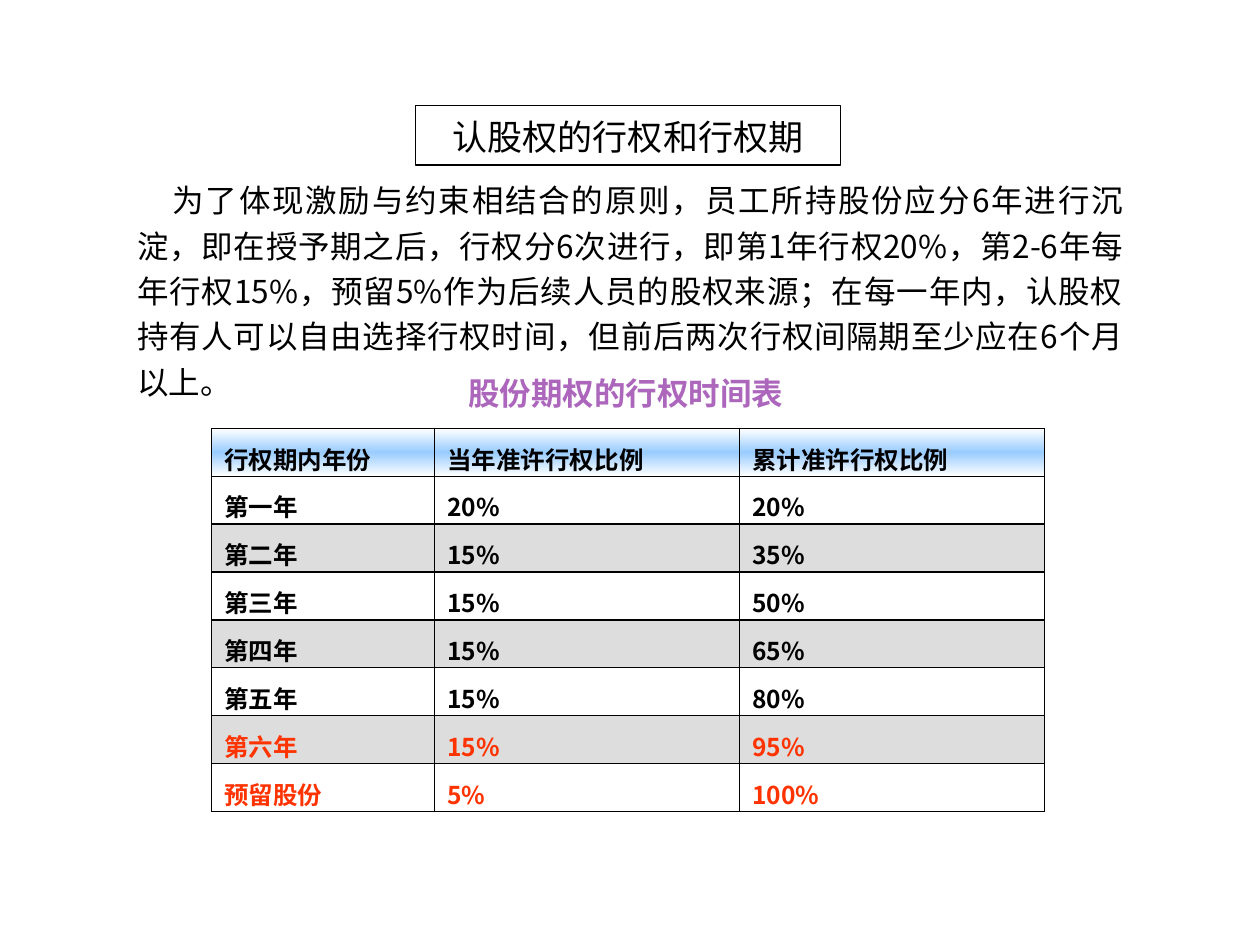
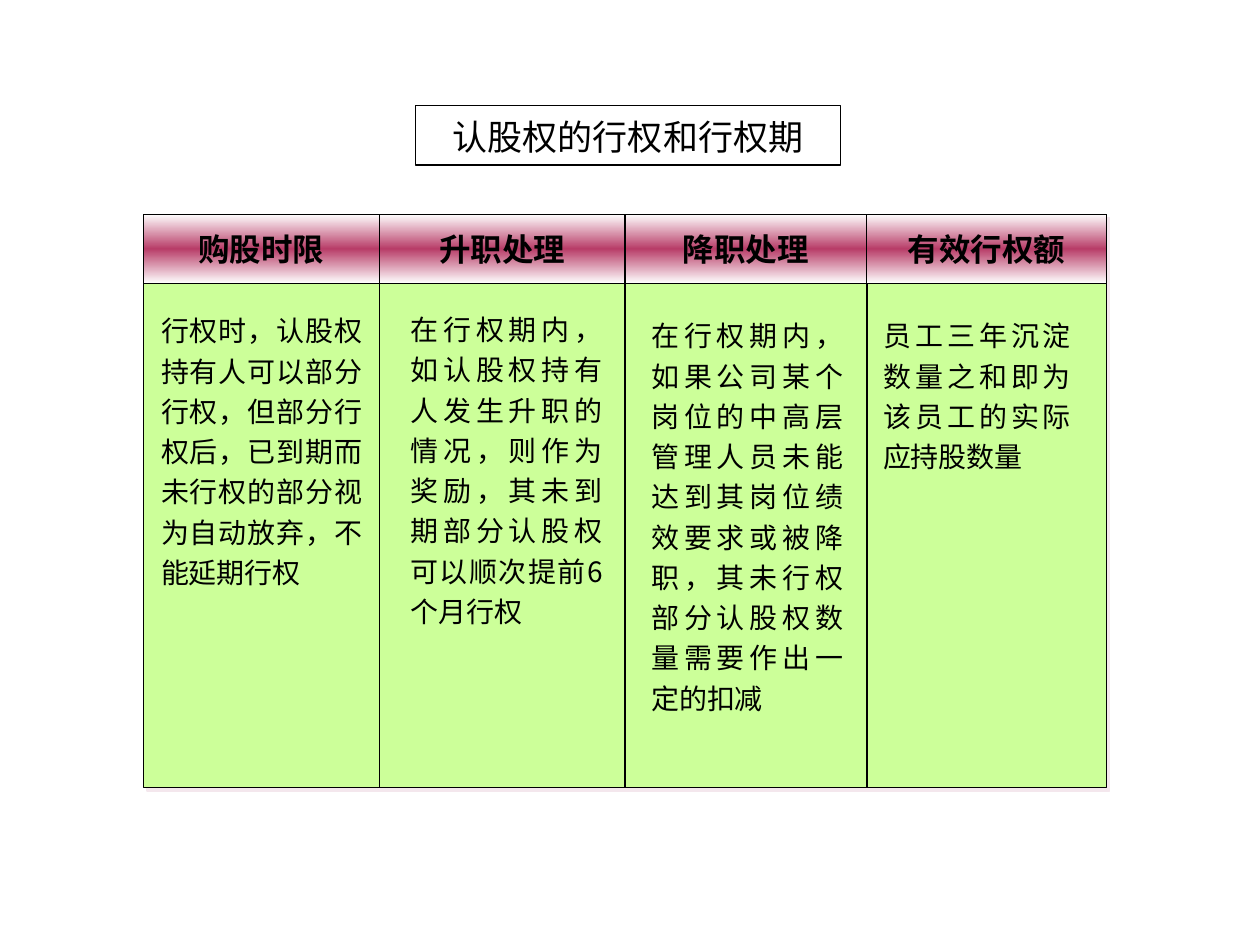
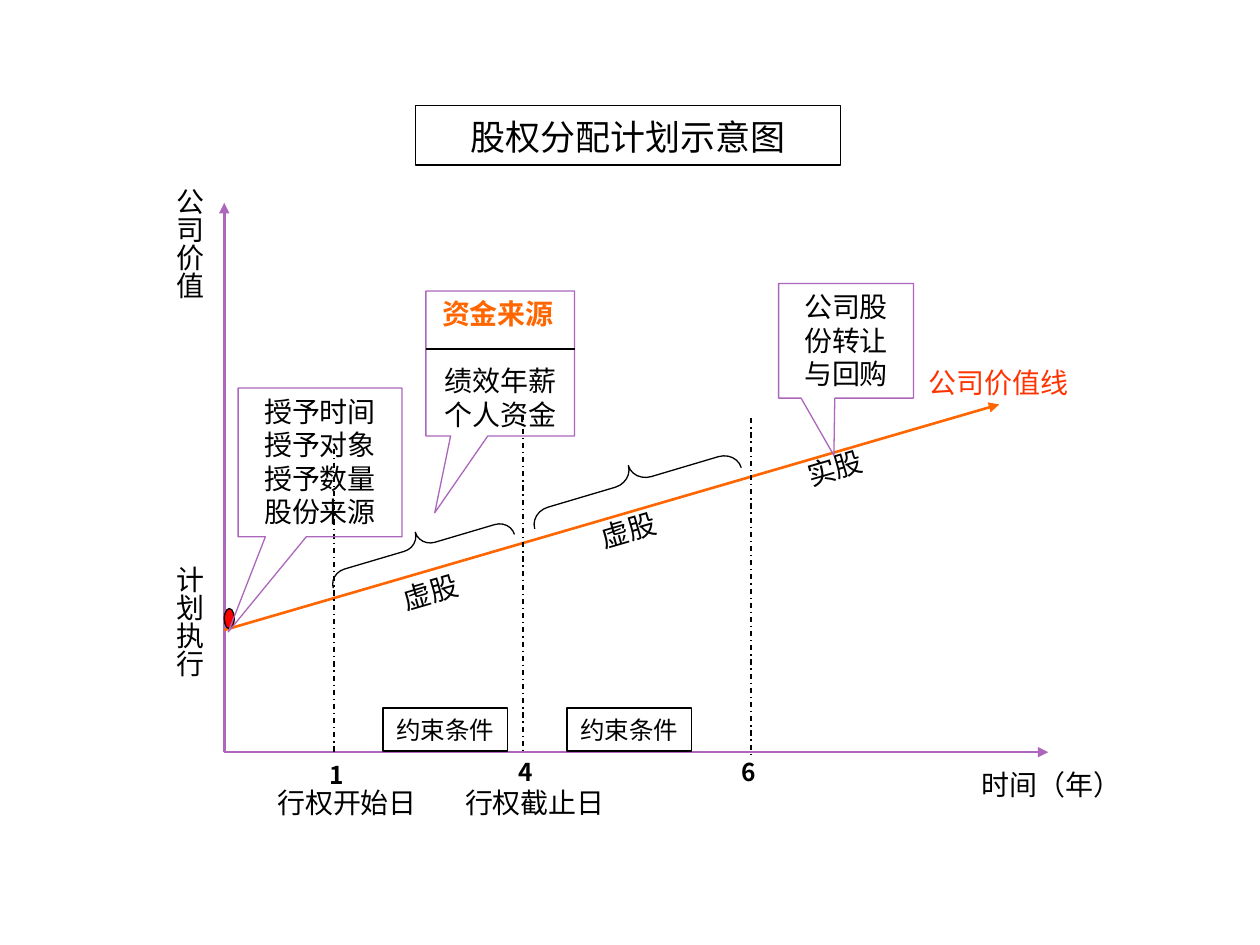
import copy

import lxml.etree
import pptx
import pptx.dml.color
import pptx.enum.dml
import pptx.enum.shapes
import pptx.enum.text
import pptx.oxml.ns
import pptx.util

PX = 9144
LINE_HEIGHT = 1.2
CJK = "Noto Sans CJK SC"
COLOURS = {
    "black": "000000", "white": "FFFFFF", "sky": "99CCFF", "grey": "DDDDDD",
    "red": "FF0000", "warm_red": "FF3300", "orange": "FF6600",
    "purple": "AC66BB", "lime": "CCFF99", "rose": "B83D68", "shadow": "F4E7ED",
}
ALIGN = pptx.enum.text.PP_ALIGN
ANCHOR = pptx.enum.text.MSO_ANCHOR
SHAPE = pptx.enum.shapes.MSO_SHAPE
DASH = pptx.enum.dml.MSO_LINE
qn = pptx.oxml.ns.qn


def px(*lengths):
    return [pptx.util.Emu(length * PX) for length in lengths]


def rgb(colour):
    return pptx.dml.color.RGBColor.from_string(COLOURS[colour])


def write_text(frame, text, size=16, colour="black", font=CJK, bold=False,
               align=ALIGN.CENTER, spacing=1.0, indent=0, hanging=True,
               anchor=None, wrap=True, vertical=False, bottom=None):
    frame.word_wrap = wrap
    if anchor is not None:
        frame.vertical_anchor = anchor
    if bottom is not None:
        frame.margin_bottom = px(bottom)[0]
    if vertical:
        frame._txBody.bodyPr.set("vert", "eaVert")
    for index, line in enumerate(text.split("\n")):
        paragraph = frame.add_paragraph() if index else frame.paragraphs[0]
        paragraph.alignment = align
        paragraph.line_spacing = pptx.util.Pt(round(size * LINE_HEIGHT * spacing, 1))
        properties = paragraph._p.get_or_add_pPr()
        if indent:
            properties.set("indent", str(indent * PX))
        if not hanging:
            properties.set("hangingPunct", "0")
        run = paragraph.add_run()
        run.text = line
        run.font.size = pptx.util.Pt(size)
        run.font.bold = bold
        run.font.name = font
        run.font.color.rgb = rgb(colour)
        east_asian = lxml.etree.SubElement(run._r.get_or_add_rPr(), qn("a:ea"))
        east_asian.set("typeface", CJK)


def paint(fill, element, colour=None, glow=None):
    if glow:
        fill.gradient()
        fill.gradient_angle = 90
        edge, middle = fill.gradient_stops
        edge.color.rgb = rgb("white")
        middle.color.rgb = rgb(glow)
        middle.position = 0.5
        stops = element.find(".//" + qn("a:gsLst"))
        stops.append(copy.deepcopy(stops[0]))
        fill.gradient_stops[2].position = 1
    elif colour:
        fill.solid()
        fill.fore_color.rgb = rgb(colour)
    else:
        fill.background()


def add_borders(cell):
    properties = cell._tc.get_or_add_tcPr()
    for index, side in enumerate(("lnL", "lnR", "lnT", "lnB")):
        border = lxml.etree.Element(qn("a:" + side), w="12700")
        fill = lxml.etree.SubElement(border, qn("a:solidFill"))
        lxml.etree.SubElement(fill, qn("a:srgbClr"), val=COLOURS["black"])
        properties.insert(index, border)


class Deck:
    def __init__(self):
        self.presentation = pptx.Presentation()
        self.presentation.slide_width, self.presentation.slide_height = px(1000, 750)
        self.slide = None

    def new_slide(self):
        self.slide = self.presentation.slides.add_slide(self.presentation.slide_layouts[6])

    def title(self, text):
        self.shape((330, 84, 337, 47), text=text, size=20, font="Arial", spacing=1.08)

    def text(self, box, text, rotation=0, **style):
        shape = self.slide.shapes.add_textbox(*px(*box))
        shape.rotation = rotation
        write_text(shape.text_frame, text, **style)

    def label(self, box, text, **style):
        self.text(box, text, **{"anchor": ANCHOR.MIDDLE, "wrap": False, **style})

    def shape(self, box, kind=SHAPE.RECTANGLE, text="", fill=None, glow=None,
              line="black", rotation=0, adjustments=(), shadow=False,
              anchor=ANCHOR.TOP, **style):
        shape = self.slide.shapes.add_shape(kind, *px(*box))
        shape.rotation = rotation
        for index, value in enumerate(adjustments):
            shape.adjustments[index] = value
        shape.shadow.inherit = False
        if shadow:
            effects = shape._element.spPr.find(qn("a:effectLst"))
            outer = lxml.etree.SubElement(effects, qn("a:outerShdw"),
                                          dist="35560", dir="2700000")
            lxml.etree.SubElement(outer, qn("a:srgbClr"), val=COLOURS["shadow"])
        paint(shape.fill, shape._element, fill, glow)
        shape.line.color.rgb = rgb(line)
        shape.line.width = pptx.util.Pt(0.75)
        if text:
            write_text(shape.text_frame, text, anchor=anchor, **style)

    def callout(self, box, text, tip, **style):
        self.shape(box, SHAPE.RECTANGULAR_CALLOUT, text, line="purple",
                   adjustments=tip, **style)

    def line(self, start, end, colour="black", width=0.75, dash=None, arrow=False):
        connector = self.slide.shapes.add_connector(
            pptx.enum.shapes.MSO_CONNECTOR.STRAIGHT, *px(*start, *end))
        connector.line.color.rgb = rgb(colour)
        connector.line.width = pptx.util.Pt(width)
        if dash:
            connector.line.dash_style = dash
        if arrow:
            lxml.etree.SubElement(connector.line._get_or_add_ln(),
                                  qn("a:tailEnd"), type="triangle")
        lxml.etree.SubElement(connector._element.spPr, qn("a:effectLst"))

    def table(self, left, top, widths, row_height, rows, highlighted):
        frame = self.slide.shapes.add_table(
            len(rows), len(widths),
            *px(left, top, sum(widths), row_height * len(rows)))
        table = frame.table
        table.first_row = table.horz_banding = False
        for column, width in zip(table.columns, px(*widths)):
            column.width = width
        for row_index, values in enumerate(rows):
            table.rows[row_index].height = px(row_height)[0]
            header = row_index == 0
            band = "grey" if row_index % 2 == 0 else None
            colour = "warm_red" if row_index >= len(rows) - highlighted else "black"
            for column_index, value in enumerate(values):
                cell = table.cell(row_index, column_index)
                cell.vertical_anchor = ANCHOR.BOTTOM
                cell.margin_top, cell.margin_bottom = px(9, 0)
                paint(cell.fill, cell._tc, band, "sky" if header else None)
                add_borders(cell)
                write_text(cell.text_frame, value, size=14, bold=True, colour=colour,
                           align=ALIGN.JUSTIFY, spacing=1.2)


def build_schedule(deck):
    deck.new_slide()
    deck.text((99, 133, 802, 191),
              "为了体现激励与约束相结合的原则，员工所持股份应分6年进行沉淀，"
              "即在授予期之后，行权分6次进行，即第1年行权20%，第2-6年每年行权15%，"
              "预留5%作为后续人员的股权来源；在每一年内，认股权持有人可以自由选择行权时间，"
              "但前后两次行权间隔期至少应在6个月以上。",
              size=18, align=ALIGN.JUSTIFY, spacing=1.2, indent=28, hanging=False)
    deck.table(168, 340, (177, 242, 242), 38, [
        ("行权期内年份", "当年准许行权比例", "累计准许行权比例"),
        ("第一年", "20%", "20%"),
        ("第二年", "15%", "35%"),
        ("第三年", "15%", "50%"),
        ("第四年", "15%", "65%"),
        ("第五年", "15%", "80%"),
        ("第六年", "15%", "95%"),
        ("预留股份", "5%", "100%"),
    ], highlighted=2)
    deck.text((334, 292, 325, 40), "股份期权的行权时间表",
              size=18, colour="purple", font="Arial", bold=True)
    deck.title("认股权的行权和行权期")


def build_rules(deck):
    deck.new_slide()
    top, divider, bottom = 170, 225, 625
    edges = (114, 301, 496, 688, 878)
    columns = [
        ("购股时限", (118, 239, 180, 235),
         "行权时，认股权持有人可以部分行权，但部分行权后，"
         "已到期而未行权的部分视为自动放弃，不能延期行权"),
        ("升职处理", (316, 238, 172, 267),
         "在行权期内，如认股权持有人发生升职的情况，则作为奖励，"
         "其未到期部分认股权可以顺次提前6个月行权"),
        ("降职处理", (507, 243, 172, 332),
         "在行权期内，如果公司某个岗位的中高层管理人员未能达到其岗位绩效要求或被降职，"
         "其未行权部分认股权数量需要作出一定的扣减"),
        ("有效行权额", (691, 243, 169, 139),
         "员工三年沉淀数量之和即为该员工的实际应持股数量"),
    ]
    deck.shape((edges[0], top, edges[-1] - edges[0], bottom - top),
               fill="lime", shadow=True)
    deck.line((edges[0], divider), (edges[-1], divider))
    for edge in edges[1:-1]:
        deck.line((edge, top), (edge, bottom))
    for left, right, (heading, box, rule) in zip(edges, edges[1:], columns):
        deck.text(box, rule, align=ALIGN.JUSTIFY, spacing=1.2)
        deck.shape((left, top, right - left, divider - top), text=heading, glow="rose",
                   size=18, font="Arial", bold=True, anchor=ANCHOR.MIDDLE, wrap=False)
    deck.title("认股权的行权和行权期")


def build_diagram(deck):
    deck.new_slide()
    deck.title("股权分配计划示意图")
    origin = (178, 597)
    for end in ((178, 161), (832, 597)):
        deck.line(origin, end, "purple", 1.5, arrow=True)
    deck.line((178, 500), (793, 321), "orange", 1.5, arrow=True)
    for axis_top, caption in ((139, "公司价值"), (439, "计划执行")):
        deck.label((127, axis_top, 47, 99), caption, vertical=True)
    for left, label_top, caption, colour in (
            (769, 604, "时间（年）", "black"),
            (210, 618, "行权开始日", "black"),
            (359, 618, "行权截止日", "black"),
            (727, 285, "公司价值线", "warm_red")):
        deck.label((left, label_top, 131, 37), caption, colour=colour)
    for year, left, label_top, x, line_top, line_bottom in (
            ("1", 252, 598, 265, 356, 599),
            ("4", 402, 596, 415, 329, 597),
            ("6", 579, 596, 596, 332, 599)):
        deck.label((left, label_top, 30, 33), year, size=14, bold=True)
        deck.line((x, line_top), (x, line_bottom), dash=DASH.DASH_DOT)
    for box, curve in (((321, 359, 24, 150), 0.53), ((489, 297, 27, 171), 0.55)):
        deck.shape(box, SHAPE.LEFT_BRACE, rotation=73.5, adjustments=(curve, 0.5))
    deck.shape((178, 483, 8, 16), SHAPE.FLOWCHART_CONNECTOR, fill="red")
    for left, label_top, stock in ((309, 451, "虚股"), (466, 402, "虚股"), (630, 353, "实股")):
        deck.label((left, label_top, 65, 37), stock, rotation=343.7)
    for left in (304, 450):
        deck.shape((left, 562, 99, 34), text="约束条件", size=14,
                   anchor=ANCHOR.MIDDLE, wrap=False)
    deck.callout((338, 231, 118, 115), "绩效年薪\n个人资金", (-0.44, 1.03),
                 anchor=ANCHOR.BOTTOM, bottom=4)
    deck.label((341, 230, 115, 37), "资金来源", colour="orange", bold=True,
               align=ALIGN.LEFT, wrap=True)
    deck.callout((189, 308, 130, 118), "授予时间\n授予对象\n授予数量\n股份来源", (-0.56, 1.14))
    deck.callout((618, 225, 107, 91), "公司股份转让与回购", (-0.09, 1))
    deck.line((338, 277), (456, 277))


def main():
    deck = Deck()
    build_schedule(deck)
    build_rules(deck)
    build_diagram(deck)
    deck.presentation.save("out.pptx")


if __name__ == "__main__":
    main()
